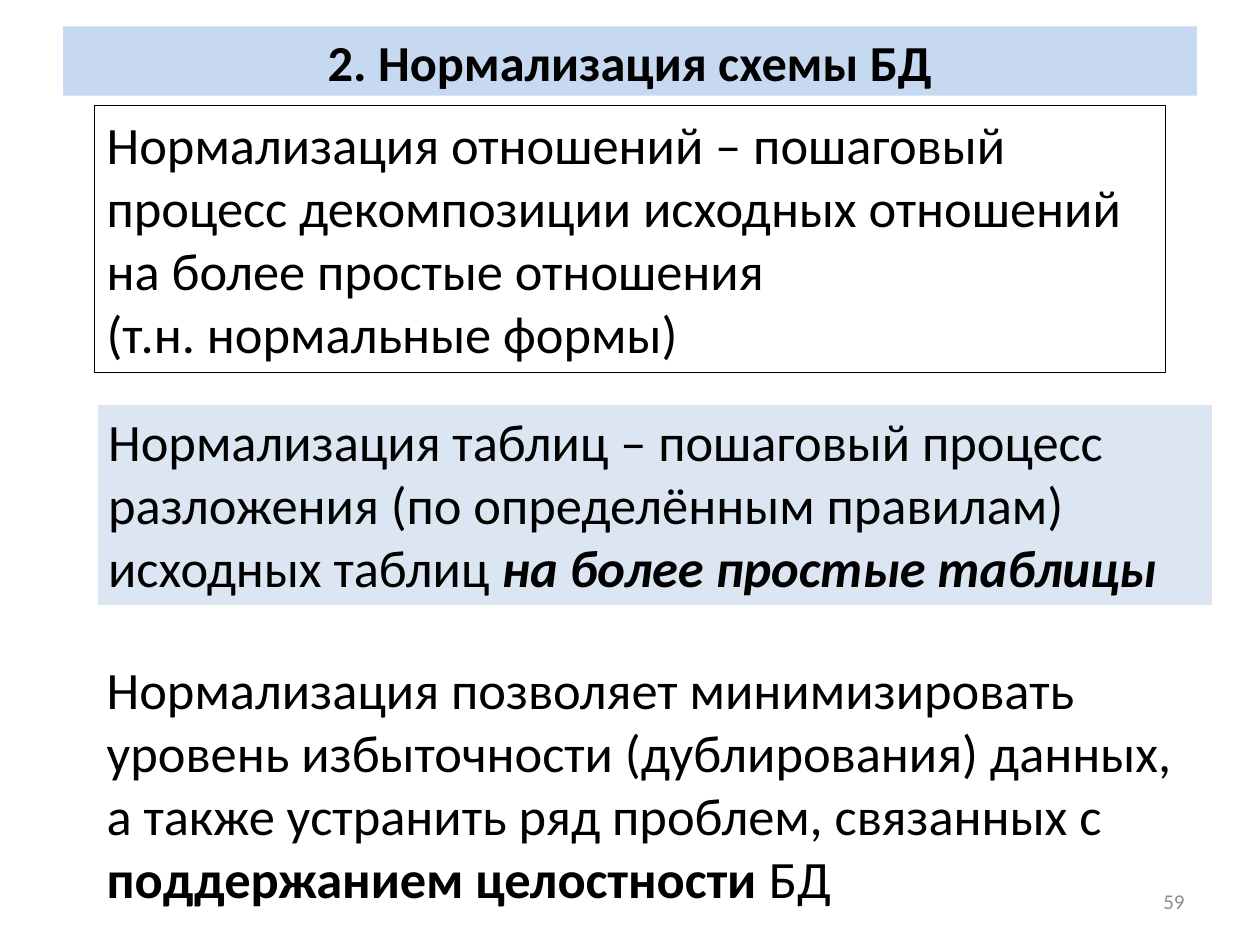
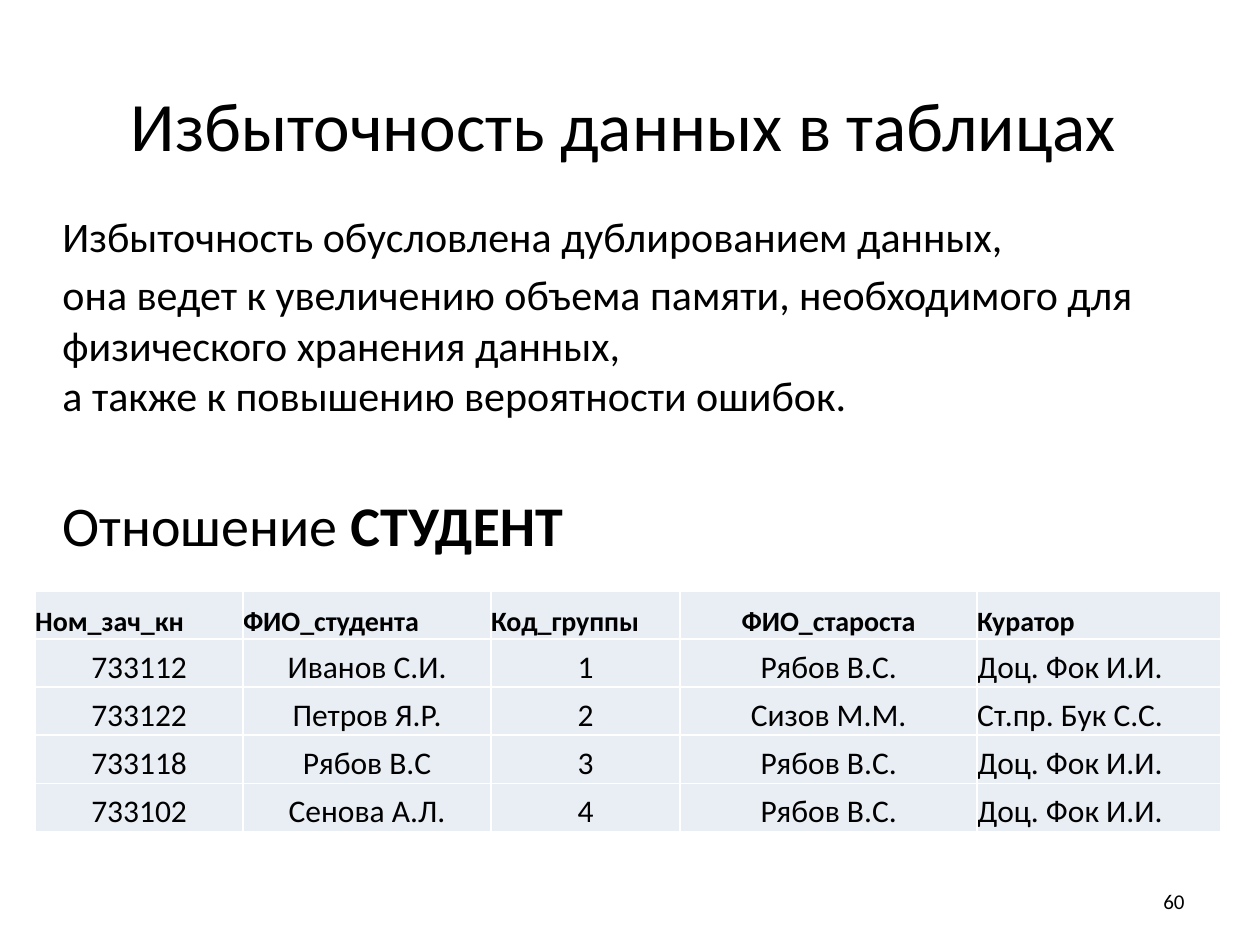
import pptx
import pptx.dml.color
import pptx.enum.shapes
import pptx.enum.text
import pptx.oxml
import pptx.oxml.ns
import pptx.util

Cm, Pt = pptx.util.Cm, pptx.util.Pt
ALIGN = pptx.enum.text.PP_ALIGN
ANCHOR = pptx.enum.text.MSO_ANCHOR

FONT = "Calibri"
BLACK, WHITE, GREY = "000000", "FFFFFF", "8C8C8C"
BAND, PALE, CELL = "C6D9F1", "DCE6F2", "E9EDF4"
TITLE_ONLY = 5
NUM_BOX = (18.21, 17.65, 5.92, 1.02)

HEAD = ["Ном_зач_кн", "ФИО_студента", "Код_группы", "ФИО_староста", "Куратор"]
ROWS = [
    ["733112", "Иванов С.И.", "1", "Рябов В.С.", "Доц. Фок И.И."],
    ["733122", "Петров Я.Р.", "2", "Сизов М.М.", "Ст.пр. Бук С.С."],
    ["733118", "Рябов В.С", "3", "Рябов В.С.", "Доц. Фок И.И."],
    ["733102", "Сенова А.Л.", "4", "Рябов В.С.", "Доц. Фок И.И."],
]
WIDTHS = [4.19, 5, 3.81, 5.99, 4.9]
ROW_H = 0.97


def color(code):
    return pptx.dml.color.RGBColor.from_string(code)


def place(box):
    return [Cm(v) for v in box]


def write(frame, *runs, size=30, ink=BLACK, bold=False, align=ALIGN.LEFT,
          gap=0, indent=0, anchor=None, more=False):
    """Write one paragraph; a run is text or (text, style) with b and i as style letters."""
    frame.word_wrap = True
    if anchor is not None:
        frame.vertical_anchor = anchor
    para = frame.add_paragraph() if more else frame.paragraphs[0]
    para.alignment = align
    para.space_before = Pt(gap)
    if indent:
        para._p.get_or_add_pPr().set("marL", str(Cm(indent)))
    for item in runs:
        text, style = (item, "") if isinstance(item, str) else item
        for i, part in enumerate(text.split("\n")):
            if i:
                para.add_line_break()
            run = para.add_run()
            run.text = part
            font = run.font
            font.name, font.size = FONT, Pt(size)
            font.bold = bold or "b" in style
            font.italic = "i" in style
            font.color.rgb = color(ink)


def head(slide, box, text, fill=None, **form):
    title = slide.shapes.title
    title.left, title.top, title.width, title.height = place(box)
    if fill:
        title.fill.solid()
        title.fill.fore_color.rgb = color(fill)
    title.text_frame.auto_size = pptx.enum.text.MSO_AUTO_SIZE.NONE
    write(title.text_frame, text, align=ALIGN.CENTER, anchor=ANCHOR.MIDDLE, **form)


def number(slide, value, ink):
    frame = slide.shapes.add_textbox(*place(NUM_BOX)).text_frame
    write(frame, str(value), size=12, ink=ink, align=ALIGN.RIGHT, anchor=ANCHOR.MIDDLE)


def panel(slide, box, paras, fill=None, line=WHITE, width=2.25):
    """Add a framed box of large text."""
    shape = slide.shapes.add_shape(pptx.enum.shapes.MSO_SHAPE.RECTANGLE, *place(box))
    shape.shadow.inherit = False
    if fill:
        shape.fill.solid()
        shape.fill.fore_color.rgb = color(fill)
    else:
        shape.fill.background()
    shape.line.color.rgb = color(line)
    shape.line.width = Pt(width)
    for i, runs in enumerate(paras):
        write(shape.text_frame, *runs, anchor=ANCHOR.TOP, more=i > 0)


def border(cell, ink):
    props = cell._tc.get_or_add_tcPr()
    for i, side in enumerate(("lnL", "lnR", "lnT", "lnB")):
        props.insert(i, pptx.oxml.parse_xml(
            f'<a:{side} {pptx.oxml.ns.nsdecls("a")} w="12700"><a:solidFill>'
            f'<a:srgbClr val="{ink}"/></a:solidFill></a:{side}>'))


def grid(slide, left, top):
    """Add the table of students."""
    data = [HEAD] + ROWS
    box = (left, top, sum(WIDTHS), ROW_H * len(data))
    table = slide.shapes.add_table(len(data), len(HEAD), *place(box)).table
    table.first_row = table.horz_banding = False
    for col, width in zip(table.columns, WIDTHS):
        col.width = Cm(width)
    for r, texts in enumerate(data):
        table.rows[r].height = Cm(ROW_H)
        for c, text in enumerate(texts):
            cell = table.cell(r, c)
            cell.margin_left = cell.margin_right = 0
            cell.margin_top = cell.margin_bottom = 0
            cell.vertical_anchor = ANCHOR.BOTTOM
            cell.fill.solid()
            cell.fill.fore_color.rgb = color(CELL)
            border(cell, WHITE)
            mid = c == 3 or (r > 0 and c < 4)
            write(cell.text_frame, text, size=18 if r else 16, bold=r == 0,
                  align=ALIGN.CENTER if mid else ALIGN.LEFT)


def story(slide, box):
    """Add the text on redundancy and the caption of the table."""
    frame = slide.shapes.add_textbox(*place(box)).text_frame
    write(frame, "Избыточность обусловлена дублированием данных,", size=24, indent=0.3)
    write(frame, "она ведет к увеличению объема памяти, необходимого для "
          "физического хранения данных, \nа также к повышению вероятности ошибок.",
          size=24, indent=0.3, gap=4.8, more=True)
    write(frame, "Отношение ", ("СТУДЕНТ", "b"), size=32, indent=0.3, gap=40.5, more=True)


def normal(slide):
    head(slide, (1.27, 0.53, 22.86, 1.4), "2. Нормализация схемы БД",
         fill=BAND, size=28.8, bold=True)
    number(slide, 59, GREY)
    panel(slide, (1.9, 2.13, 21.6, 5.38), [
        ["Нормализация отношений – пошаговый процесс декомпозиции "
         "исходных отношений на более простые отношения"],
        ["(т.н. нормальные формы)"]], line=BLACK, width=0.75)
    panel(slide, (1.93, 8.13, 22.55, 4.11), [
        ["Нормализация таблиц – пошаговый процесс разложения "
         "(по определённым правилам) исходных таблиц ",
         ("на более простые таблицы", "bi")]], fill=PALE)
    panel(slide, (1.9, 13.13, 22.55, 5.38), [
        ["Нормализация позволяет минимизировать уровень избыточности "
         "(дублирования) данных, а также устранить ряд проблем, связанных с ",
         ("поддержанием целостности ", "b"), "БД"]])


def excess(slide):
    story(slide, (0.71, 4.11, 23.42, 12.57))
    number(slide, 60, BLACK)
    head(slide, (1.3, 1.73, 22.86, 1.55), "Избыточность данных в таблицах ", size=39.6)
    grid(slide, 0.71, 11.91)


def main():
    deck = pptx.Presentation()
    deck.slide_width, deck.slide_height = Cm(25.4), Cm(19.05)
    for build in (normal, excess):
        build(deck.slides.add_slide(deck.slide_layouts[TITLE_ONLY]))
    deck.save("out.pptx")


if __name__ == "__main__":
    main()
